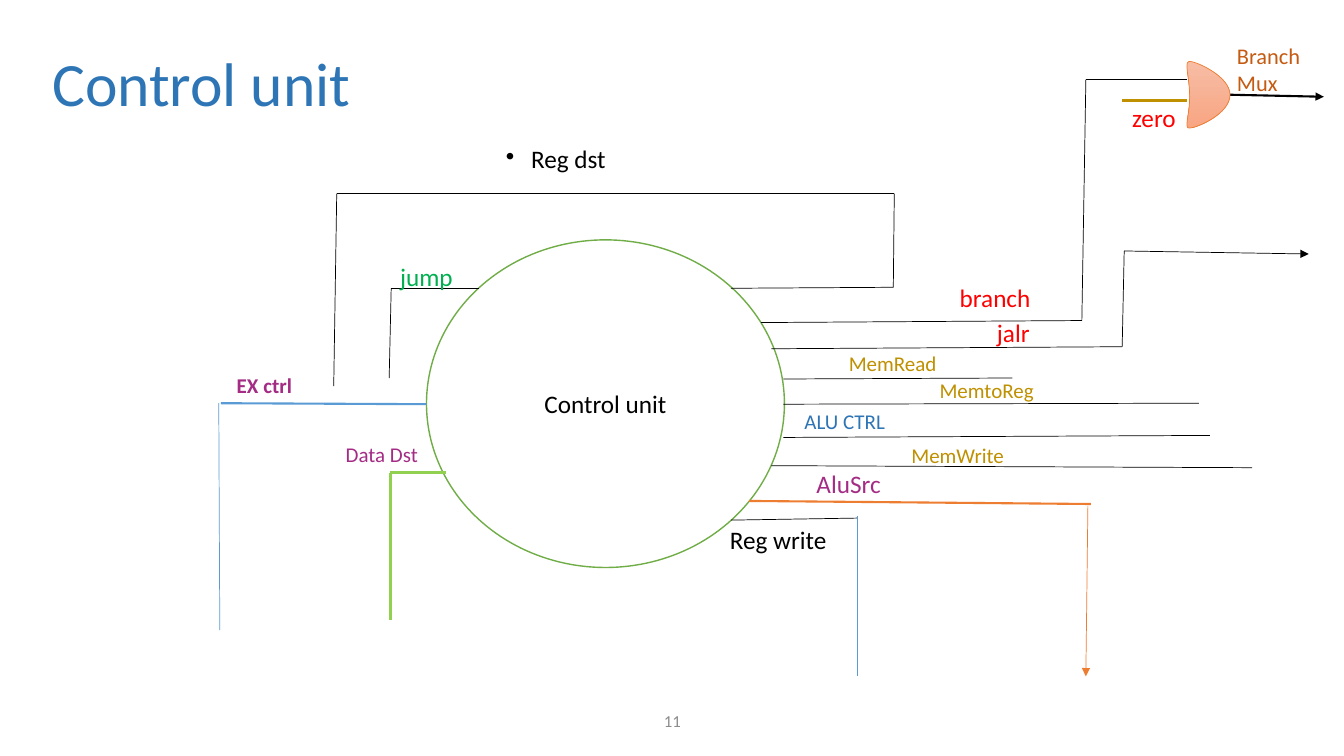
from lxml.etree import SubElement
from pptx import Presentation
from pptx.dml.color import RGBColor
from pptx.enum.shapes import MSO_CONNECTOR, MSO_SHAPE
from pptx.enum.text import MSO_ANCHOR, PP_ALIGN
from pptx.oxml.ns import qn
from pptx.util import Inches, Pt

COLS, ROWS = 133.3, 75
BLACK, GRAY, GREEN, RED = "000000", "8C8C8C", "00B050", "FF0000"
BLUE, SKY, GOLD, PLUM = "2E75B6", "5B9BD5", "BF9000", "A42C85"
ORANGE, RUST, LIME, LEAF = "ED7D31", "C55A11", "92D050", "70AD47"


def color(code):
    return RGBColor.from_string(code)


def curve(a, b, c, d, steps=16):
    points = []
    for i in range(1, steps + 1):
        t = i / steps
        u = 1 - t
        points.append(tuple(
            u**3 * p + 3 * u**2 * t * q + 3 * u * t**2 * r + t**3 * s
            for p, q, r, s in zip(a, b, c, d)))
    return points


class Canvas:
    font = "Calibri"

    def __init__(self):
        self.deck = Presentation()
        self.deck.slide_width = Inches(13.33)
        self.deck.slide_height = Inches(7.5)
        self.slide = self.deck.slides.add_slide(self.deck.slide_layouts[6])
        self.shapes = self.slide.shapes

    def x(self, col):
        return round(self.deck.slide_width * col / COLS)

    def y(self, row):
        return round(self.deck.slide_height * row / ROWS)

    def area(self, left, top, width, height):
        return self.x(left), self.y(top), self.x(width), self.y(height)

    def letter(self, shape, text, size, ink, bold=False, align=PP_ALIGN.LEFT,
               anchor=MSO_ANCHOR.TOP):
        frame = shape.text_frame
        frame.word_wrap = True
        frame.vertical_anchor = anchor
        para = frame.paragraphs[0]
        para.text = text
        para.alignment = align
        para.font.name = self.font
        para.font.size = Pt(size)
        para.font.bold = bold
        para.font.color.rgb = color(ink)
        return para

    def label(self, text, area, size, ink, **style):
        box = self.shapes.add_textbox(*self.area(*area))
        return self.letter(box, text, size, ink, **style)

    def bullet(self, text, area, size, ink, margin, hang):
        para = self.label(text, area, size, ink)
        para.line_spacing = 0.9
        para.space_before = Pt(5)
        props = para._p.get_or_add_pPr()
        props.set("marL", str(self.x(margin)))
        props.set("indent", str(-self.x(hang)))
        mark = props.makeelement(qn("a:buChar"), {"char": "•"})
        props.insert(list(props).index(props.find(qn("a:defRPr"))), mark)

    def unit(self, text, area, size, ink, edge):
        oval = self.shapes.add_shape(MSO_SHAPE.OVAL, *self.area(*area))
        oval.shadow.inherit = False
        oval.fill.solid()
        oval.fill.fore_color.rgb = color("FFFFFF")
        oval.line.color.rgb = color(edge)
        oval.line.width = Pt(1)
        self.letter(oval, text, size, ink, align=PP_ALIGN.CENTER,
                    anchor=MSO_ANCHOR.MIDDLE)

    def wire(self, points, ink=BLACK, width=0.5, arrow=False):
        for start, end in zip(points, points[1:]):
            line = self.shapes.add_connector(
                MSO_CONNECTOR.STRAIGHT, self.x(start[0]), self.y(start[1]),
                self.x(end[0]), self.y(end[1]))
            line.line.color.rgb = color(ink)
            line.line.width = Pt(width)
            SubElement(line._element.spPr, qn("a:effectLst"))
        if arrow:
            SubElement(line.line._get_or_add_ln(), qn("a:tailEnd"),
                       type="triangle")

    def gate(self, start, curves, shades, edge):
        points = []
        last = start
        for bend in curves:
            points += curve(last, *bend)
            last = bend[-1]
        pen = self.shapes.build_freeform(self.x(start[0]), self.y(start[1]))
        pen.add_line_segments([(self.x(c), self.y(r)) for c, r in points])
        shape = pen.convert_to_shape()
        shape.shadow.inherit = False
        shape.fill.gradient()
        shape.fill.gradient_angle = 270
        for stop, shade in zip(shape.fill.gradient_stops, shades):
            stop.color.rgb = color(shade)
        shape.line.color.rgb = color(edge)
        shape.line.width = Pt(0.5)


def main():
    page = Canvas()
    title = page.label("Control unit", (4.2, 1.6, 115, 13.9), 44, BLUE,
                       anchor=MSO_ANCHOR.MIDDLE)
    title.line_spacing = 0.9
    page.bullet("Reg dst", (9.2, 14.1, 115, 58), 18, BLACK, 42.5, 2.5)
    page.unit("Control unit", (42.3, 23.8, 35.5, 32.5), 18, BLACK, LEAF)

    for points in [
        [(72.5, 28.6), (88.6, 28.5), (88.7, 19.2), (33.4, 19.2), (33.1, 38.3)],
        [(75.5, 32), (107.3, 31.8), (107.7, 7.9), (117.7, 7.9)],
        [(77.7, 37.6), (100.4, 37.5)],
        [(77.7, 40.1), (118.9, 40)],
        [(77.7, 43.4), (120, 43.2)],
        [(76.5, 46.2), (124.2, 46.4)],
        [(72.5, 51.6), (85, 51.4)],
        [(47.5, 28.6), (38.8, 28.6), (38.6, 37.5)],
    ]:
        page.wire(points)

    page.wire([(76.5, 34.6), (111.3, 34.4), (111.5, 24.9), (129.8, 25.2)],
              arrow=True)
    page.wire([(85, 51.2), (85, 67.1)], SKY)
    page.wire([(42.3, 40.1), (21.9, 40)], SKY, 1.5)
    page.wire([(21.7, 40), (21.8, 62.5)], SKY)
    page.wire([(74.3, 49.7), (108.2, 50)], ORANGE, 1.5)
    page.wire([(107.9, 50.2), (107.7, 67.1)], ORANGE, arrow=True)
    page.wire([(44.2, 46.9), (38.7, 46.9), (38.7, 61.5)], LIME, 2.25)
    page.wire([(111.3, 10), (117.7, 10)], GOLD, 2.25)
    page.wire([(122, 9.4), (131.3, 9.6)], width=1.5, arrow=True)

    page.gate((118, 9.6), [
        [(118, 7.7), (117.4, 6.1), (118, 6.1)],
        [(118.7, 6.1), (122, 7.6), (122, 9.4)],
        [(122, 11.3), (118.7, 12.7), (118, 12.7)],
        [(117.4, 12.8), (118, 11.4), (118, 9.6)],
    ], ("F7BDA5", "F8A582"), ORANGE)

    for text, left, top, width, ink in [
        ("Reg write", 71.4, 51.5, 12, BLACK),
        ("jump", 38.7, 25.4, 8.2, GREEN),
        ("branch", 94.2, 27.5, 10.5, RED),
        ("jalr", 97.9, 31, 9.4, RED),
        ("AluSrc", 80, 46, 11.4, PLUM),
        ("zero", 111.3, 9.7, 9.2, RED),
    ]:
        page.label(text, (left, top, width, 4), 18, ink)

    for text, left, top, width, ink in [
        ("MemRead", 83.2, 34.3, 12.3, GOLD),
        ("MemtoReg", 92.2, 37, 15.4, GOLD),
        ("ALU CTRL", 78.8, 40, 11.4, BLUE),
        ("MemWrite", 89.4, 43.4, 14.2, GOLD),
        ("Data Dst", 33.3, 43.3, 11.9, PLUM),
        ("EX ctrl", 22.5, 36.5, 10.7, PLUM),
    ]:
        page.label(text, (left, top, width, 3.5), 15, ink,
                   bold=text == "EX ctrl")

    page.label("Branch Mux", (121.7, 3.7, 10.1, 6.4), 16, RUST)
    page.label("11", (44.2, 69.5, 45, 4), 12, GRAY, align=PP_ALIGN.CENTER,
               anchor=MSO_ANCHOR.MIDDLE)
    page.deck.save("out.pptx")


if __name__ == "__main__":
    main()
